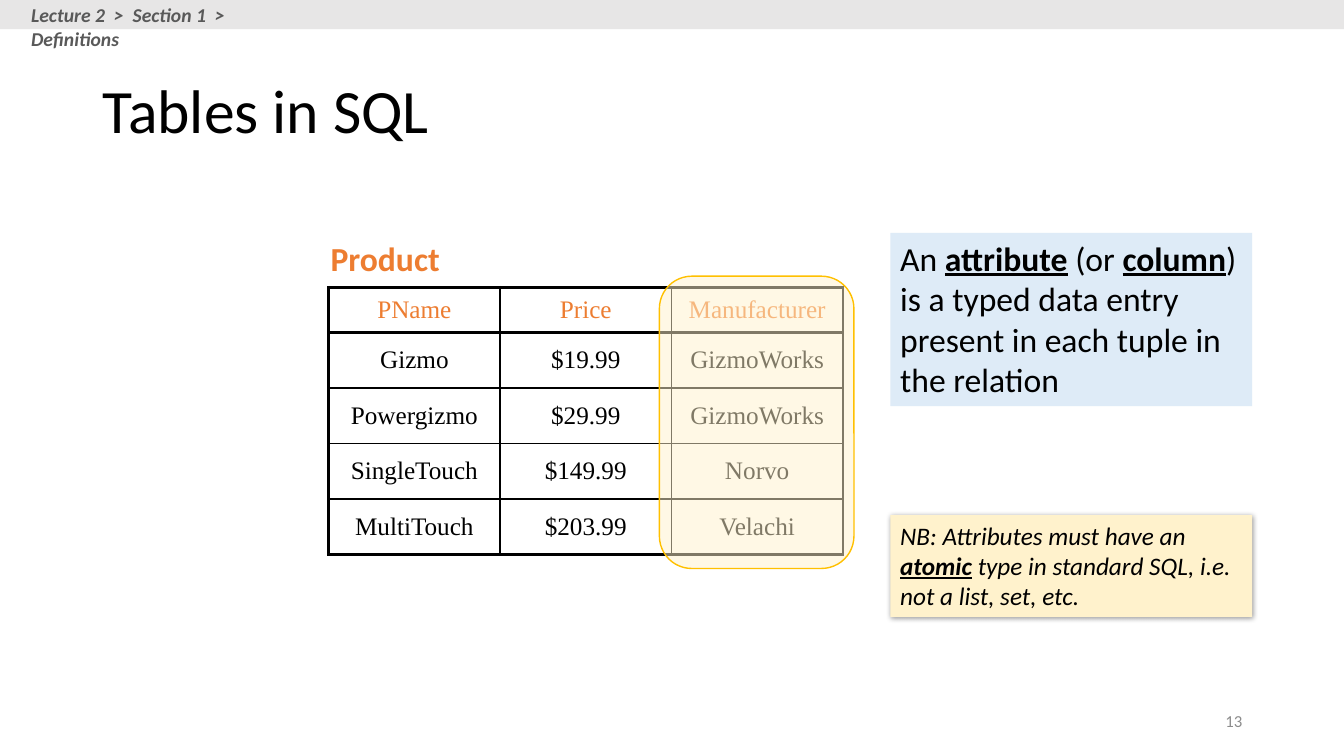
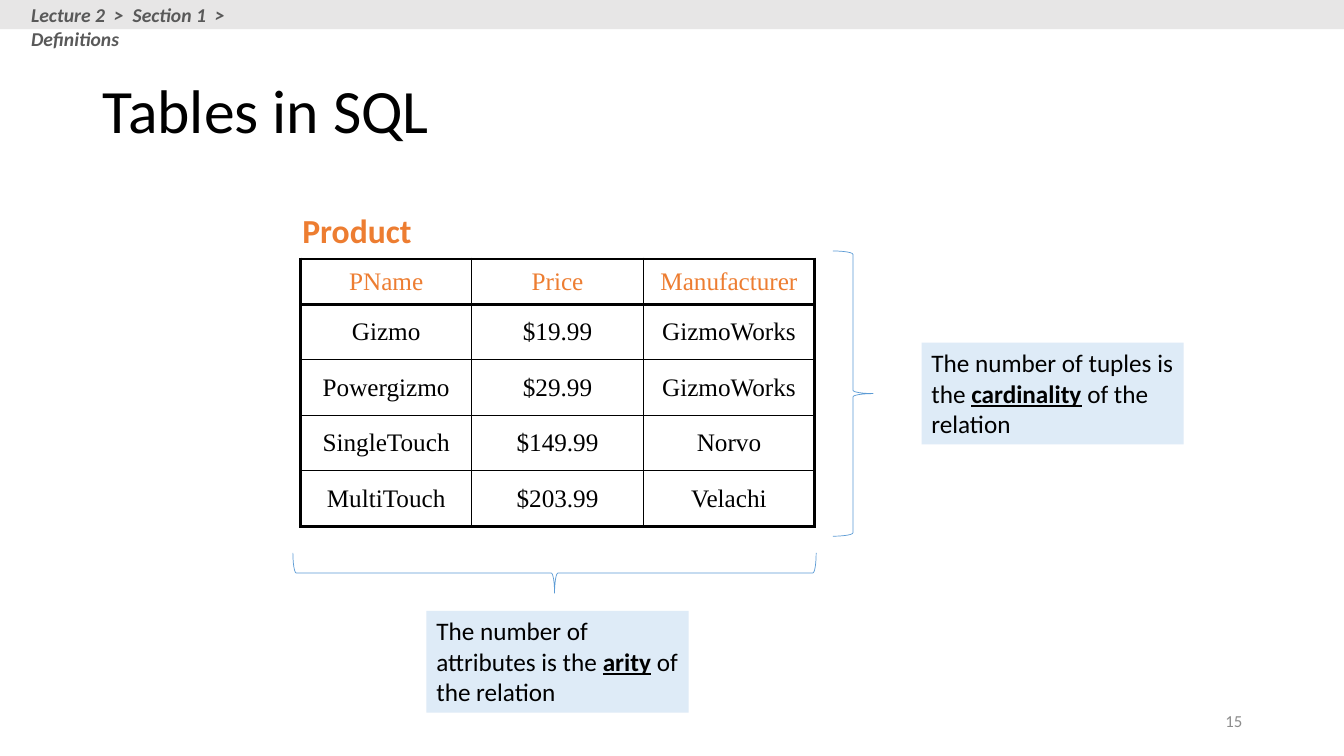
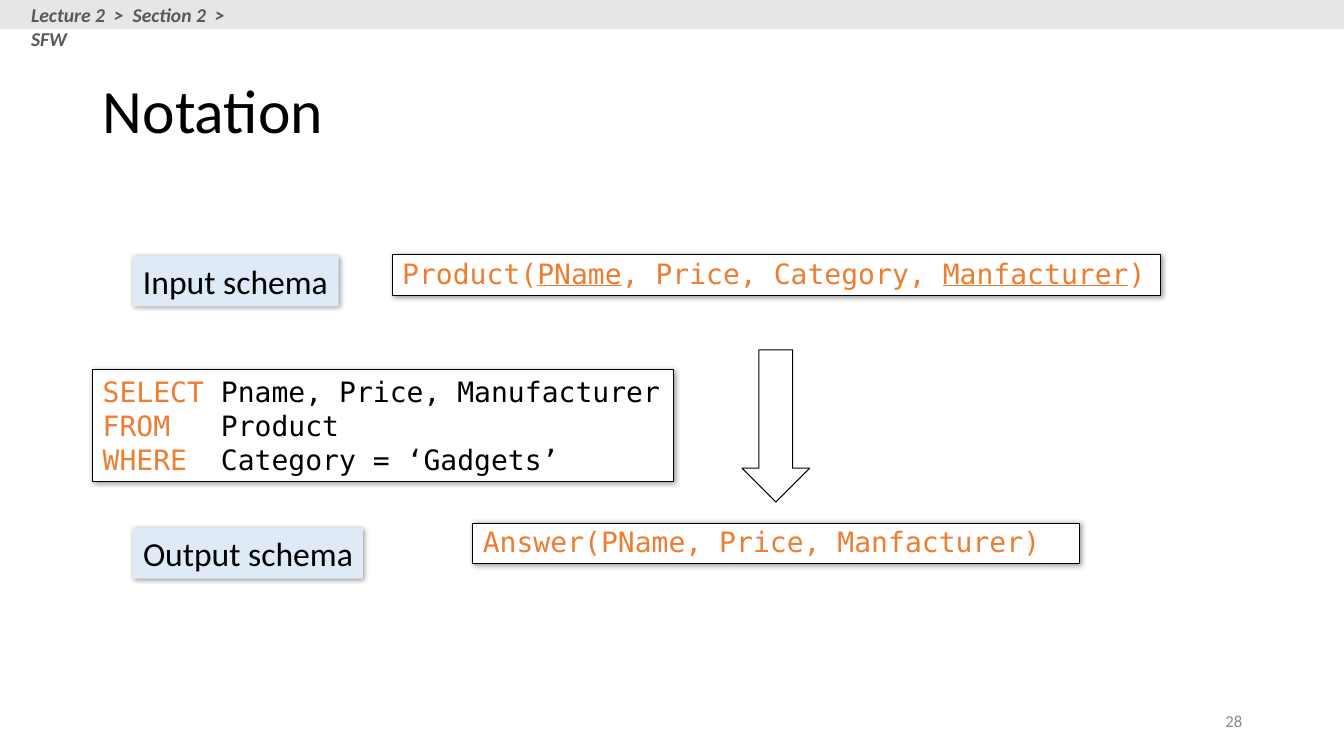
"""Three lecture slides on SQL tables and query notation."""
from dataclasses import dataclass
from typing import Any

from lxml import etree
from pptx import Presentation
from pptx import util as u
from pptx.dml.color import RGBColor
from pptx.enum import shapes, text
from pptx.oxml import ns

COLORS = {
    "black": "000000", "white": "FFFFFF", "band": "E7E6E6", "crumb": "595959",
    "number": "8C8C8C", "accent": "ED7D31", "definition": "DEEBF7",
    "note": "FFF2CC", "highlight": "FFC000", "brace": "5B9BD5",
}
SHAPE = shapes.MSO_SHAPE
ALIGN = text.PP_ALIGN
ANCHOR = text.MSO_ANCHOR
FIT = text.MSO_AUTO_SIZE

TITLE = {"name": "Calibri", "size": u.Pt(44), "color": "black"}
CRUMB = {"name": "Calibri", "size": u.Pt(14), "color": "crumb", "bold": True, "italic": True}
NUMBER = {"name": "Calibri", "size": u.Pt(12), "color": "number"}
LARGE = {"name": "Calibri", "size": u.Pt(24), "color": "black"}
SMALL = LARGE | {"size": u.Pt(18)}
NOTE = SMALL | {"italic": True}
CAPTION = LARGE | {"color": "accent", "bold": True}
CODE = {"name": "DejaVu Sans Mono", "size": u.Pt(20), "color": "black"}
SCHEMA = CODE | {"color": "accent"}
CELL = {"name": "Times New Roman", "size": u.Pt(18), "color": "black"}
TERM = {"bold": True, "underline": True}
KEY = {"underline": True}
KEYWORD = {"color": "accent"}

PRODUCTS = (
    ("PName", "Price", "Manufacturer"),
    ("Gizmo", "$19.99", "GizmoWorks"),
    ("Powergizmo", "$29.99", "GizmoWorks"),
    ("SingleTouch", "$149.99", "Norvo"),
    ("MultiTouch", "$203.99", "Velachi"),
)
COLUMN_WIDTH, HEADER_HEIGHT, ROW_HEIGHT = 1.7, 0.45, 0.55


@dataclass
class Phrase:
    """A stretch of wording with the format that sets it apart."""
    wording: str
    style: dict[str, Any]


@dataclass
class Box:
    """A preset shape, its look and its wording."""
    left: float
    top: float
    width: float
    height: float
    phrases: tuple[str | Phrase, ...] = ()
    style: dict[str, Any] | None = None
    fill: str | None = None
    line: str | None = None
    weight: float = 0.75
    opacity: int = 100
    shadow: bool = False
    wrap: bool = True
    spacing: float = 1.0
    rotation: int = 0
    preset: Any = SHAPE.RECTANGLE


def rgb(color: str) -> RGBColor:
    """Look up a named colour."""
    return RGBColor.from_string(COLORS[color])


def lengths(*values: float) -> list[int]:
    """Convert inches to slide units."""
    return [u.Inches(value) for value in values]


def apply_font(font: Any, style: dict[str, Any]) -> None:
    """Set every format value on a font."""
    for attribute, value in style.items():
        if attribute == "color":
            font.color.rgb = rgb(value)
        else:
            setattr(font, attribute, value)


def write(paragraph: Any, phrases: tuple[str | Phrase, ...], style: dict[str, Any]) -> None:
    """Write phrases as runs, breaking lines at newlines."""
    for phrase in phrases:
        if isinstance(phrase, str):
            phrase = Phrase(phrase, {})
        for index, line in enumerate(phrase.wording.split("\n")):
            if index:
                paragraph.add_line_break()
            if line:
                run = paragraph.add_run()
                run.text = line
                apply_font(run.font, style | phrase.style)


def add_shadow(shape: Any) -> None:
    """Give a shape a soft shadow to the lower right."""
    effects = shape._element.spPr.find(ns.qn("a:effectLst"))
    outer = etree.SubElement(effects, ns.qn("a:outerShdw"), blurRad=str(u.Pt(4)),
                             dist=str(u.Pt(1)), dir="2700000", algn="tl", rotWithShape="0")
    tint = etree.SubElement(outer, ns.qn("a:srgbClr"), val=COLORS["black"])
    etree.SubElement(tint, ns.qn("a:alpha"), val="40000")


def add_box(canvas: Any, box: Box) -> None:
    """Draw one box on a slide or in a group."""
    shape = canvas.add_shape(box.preset, *lengths(box.left, box.top, box.width, box.height))
    shape.rotation = box.rotation
    shape.shadow.inherit = False
    if box.fill:
        shape.fill.solid()
        shape.fill.fore_color.rgb = rgb(box.fill)
        if box.opacity < 100:
            tint = shape._element.spPr.find(".//" + ns.qn("a:srgbClr"))
            etree.SubElement(tint, ns.qn("a:alpha"), val=str(box.opacity * 1000))
    else:
        shape.fill.background()
    if box.line:
        shape.line.color.rgb = rgb(box.line)
        shape.line.width = u.Pt(box.weight)
    else:
        shape.line.fill.background()
    if box.shadow:
        add_shadow(shape)
    if box.phrases:
        frame = shape.text_frame
        layout = {"word_wrap": box.wrap, "auto_size": FIT.SHAPE_TO_FIT_TEXT,
                  "vertical_anchor": ANCHOR.TOP}
        for attribute, value in layout.items():
            setattr(frame, attribute, value)
        paragraph = frame.paragraphs[0]
        paragraph.alignment = ALIGN.LEFT
        paragraph.line_spacing = box.spacing
        write(paragraph, box.phrases, box.style or LARGE)


def add_label(canvas: Any, wording: str, style: dict[str, Any], place: tuple[float, ...],
              align: Any = ALIGN.LEFT, **layout: Any) -> None:
    """Add a text box with one line of wording."""
    frame = canvas.add_textbox(*lengths(*place)).text_frame
    for attribute, value in layout.items():
        setattr(frame, attribute, value)
    frame.paragraphs[0].alignment = align
    write(frame.paragraphs[0], (wording,), style)


def add_page(deck: Any, title: str, crumbs: tuple[str, ...], number: int) -> Any:
    """Add a slide with its title, breadcrumb band and number."""
    slide = deck.slides.add_slide(deck.slide_layouts[5])
    heading = slide.shapes.title
    place = zip(("left", "top", "width", "height"), lengths(0.92, 0.4, 11.5, 1.45))
    for attribute, value in place:
        setattr(heading, attribute, value)
    frame = heading.text_frame
    frame.auto_size = FIT.NONE
    frame.vertical_anchor = ANCHOR.MIDDLE
    frame.paragraphs[0].alignment = ALIGN.LEFT
    frame.paragraphs[0].line_spacing = 0.9
    write(frame.paragraphs[0], (title,), TITLE)
    band = slide.shapes.add_group_shape().shapes
    add_box(band, Box(0, 0, 13.33, 0.29, fill="band"))
    add_label(band, "  >  ".join(crumbs), CRUMB, (0.21, -0.02, 2.2, 0.34), word_wrap=True)
    add_label(slide.shapes, str(number), NUMBER, (9.42, 6.95, 3, 0.4), ALIGN.RIGHT,
              word_wrap=True, vertical_anchor=ANCHOR.MIDDLE)
    return slide


def add_borders(cell: Any, weights: dict[str, float]) -> None:
    """Draw the four edges of a cell."""
    properties = cell._tc.get_or_add_tcPr()
    for position, (side, weight) in enumerate(weights.items()):
        edge = etree.Element(ns.qn(f"a:ln{side}"), w=str(u.Pt(weight)))
        fill = etree.SubElement(edge, ns.qn("a:solidFill"))
        etree.SubElement(fill, ns.qn("a:srgbClr"), val=COLORS["black"])
        properties.insert(position, edge)


def add_products(slide: Any, left: float, top: float) -> None:
    """Add the captioned product table, thick around the edge and header."""
    rows, columns = len(PRODUCTS), len(PRODUCTS[0])
    height = HEADER_HEIGHT + ROW_HEIGHT * (rows - 1)
    table = slide.shapes.add_table(
        rows, columns, *lengths(left, top, COLUMN_WIDTH * columns, height)).table
    table.first_row = table.horz_banding = False
    for r, record in enumerate(PRODUCTS):
        table.rows[r].height = u.Inches(ROW_HEIGHT if r else HEADER_HEIGHT)
        for c, value in enumerate(record):
            cell = table.cell(r, c)
            cell.fill.background()
            cell.vertical_anchor = ANCHOR.MIDDLE
            paragraph = cell.text_frame.paragraphs[0]
            paragraph.alignment = ALIGN.CENTER
            write(paragraph, (value,), CELL if r else CELL | KEYWORD)
            thick = {"L": c == 0, "R": c == columns - 1, "T": r < 2, "B": r in (0, rows - 1)}
            add_borders(cell, {side: 2.25 if bold else 1 for side, bold in thick.items()})
    add_label(slide.shapes, "Product", CAPTION, (left - 0.08, top - 0.54, 1.3, 0.5),
              word_wrap=False, auto_size=FIT.SHAPE_TO_FIT_TEXT)


def add_boxes(slide: Any, boxes: tuple[Box, ...]) -> None:
    """Draw boxes from back to front."""
    for box in boxes:
        add_box(slide.shapes, box)


def main() -> None:
    """Build and save the slides."""
    deck = Presentation()
    deck.slide_width, deck.slide_height = lengths(13.33, 7.5)
    definitions = ("Lecture 2", "Section 1", "Definitions")

    attributes = add_page(deck, "Tables in SQL", definitions, 13)
    add_products(attributes, 3.26, 2.85)
    add_boxes(attributes, (
        Box(6.54, 2.74, 1.93, 2.9, fill="note", opacity=50, line="highlight", weight=1,
            preset=SHAPE.ROUNDED_RECTANGLE),
        Box(8.83, 2.31, 3.59, 1.72,
            ("An ", Phrase("attribute", TERM), " (or ", Phrase("column", TERM),
             ") is a typed data entry present in each tuple in the relation"),
            LARGE, "definition"),
        Box(8.83, 5.11, 3.59, 1.01,
            ("NB: Attributes must have an ", Phrase("atomic", TERM),
             " type in standard SQL, i.e. not a list, set, etc."),
            NOTE, "note", shadow=True),
    ))

    sizes = add_page(deck, "Tables in SQL", definitions, 15)
    add_products(sizes, 2.98, 2.57)
    brace = {"line": "brace", "weight": 0.5, "preset": SHAPE.RIGHT_BRACE}
    add_boxes(sizes, (
        Box(8.26, 2.49, 0.4, 2.83, **brace),
        Box(9.14, 3.4, 2.6, 1.01,
            ("The number of tuples is the ", Phrase("cardinality", TERM), " of the relation"),
            SMALL, "definition"),
        Box(5.3, 3.09, 0.4, 5.19, rotation=90, **brace),
        Box(4.23, 6.06, 2.6, 1.01,
            ("The number of attributes is the ", Phrase("arity", TERM), " of the relation"),
            SMALL, "definition"),
    ))

    notation = add_page(deck, "Notation", ("Lecture 2", "Section 2", "SFW"), 28)
    framed = {"fill": "white", "line": "black", "shadow": True}
    tag = {"style": LARGE, "fill": "definition", "shadow": True, "wrap": False}
    add_boxes(notation, (
        Box(7.36, 3.47, 0.67, 1.51, line="black", preset=SHAPE.DOWN_ARROW),
        Box(0.92, 3.67, 5.76, 1.11,
            (Phrase("SELECT ", KEYWORD), "Pname, Price, Manufacturer\n",
             Phrase("FROM ", KEYWORD), "  Product\n",
             Phrase("WHERE", KEYWORD), "  Category = ‘Gadgets’"),
            CODE, wrap=False, **framed),
        Box(3.89, 2.53, 7.62, 0.4,
            ("Product(", Phrase("PName", KEY), ", Price, Category, ",
             Phrase("Manfacturer", KEY), ")"),
            SCHEMA, spacing=0.9, **framed),
        Box(4.69, 5.19, 6.02, 0.4, ("Answer(PName, Price, Manfacturer)",),
            SCHEMA, spacing=0.9, **framed),
        Box(1.32, 2.54, 2.04, 0.5, ("Input schema",), **tag),
        Box(1.32, 5.24, 2.28, 0.5, ("Output schema",), **tag),
    ))
    deck.save("out.pptx")


main()
